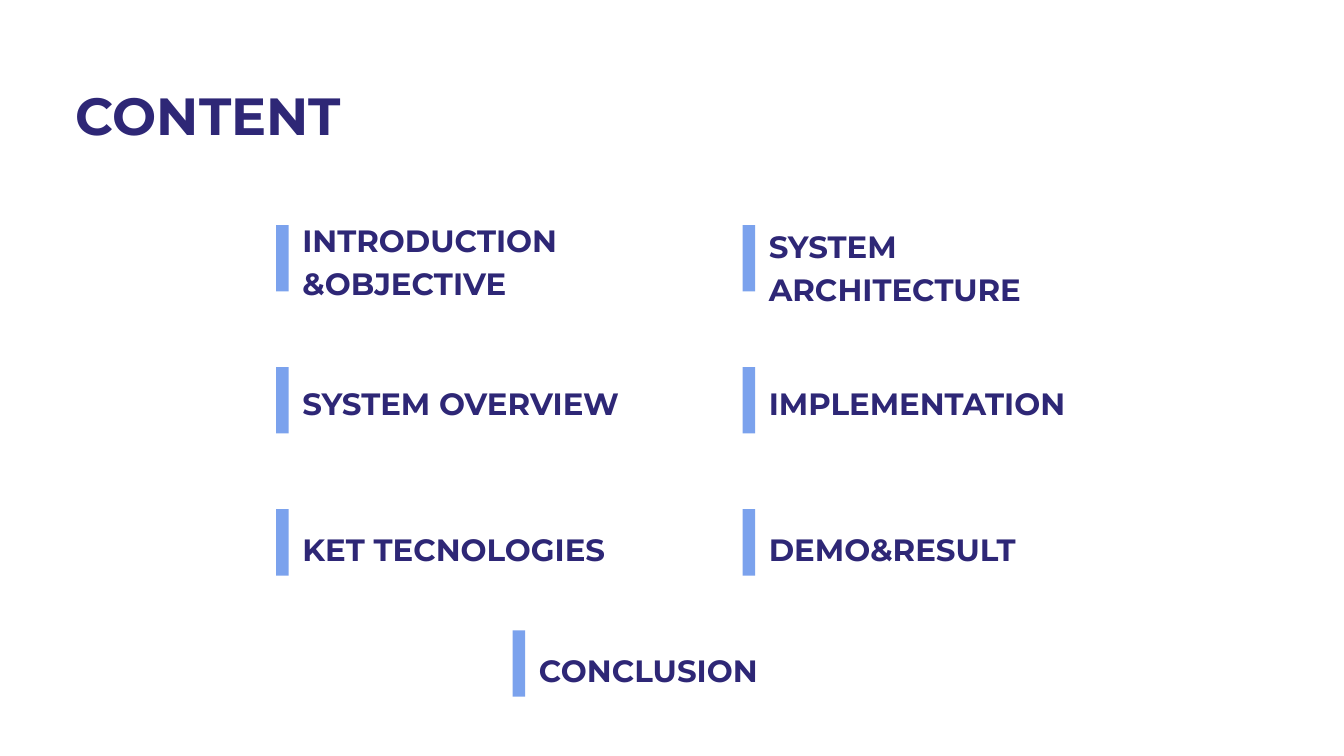
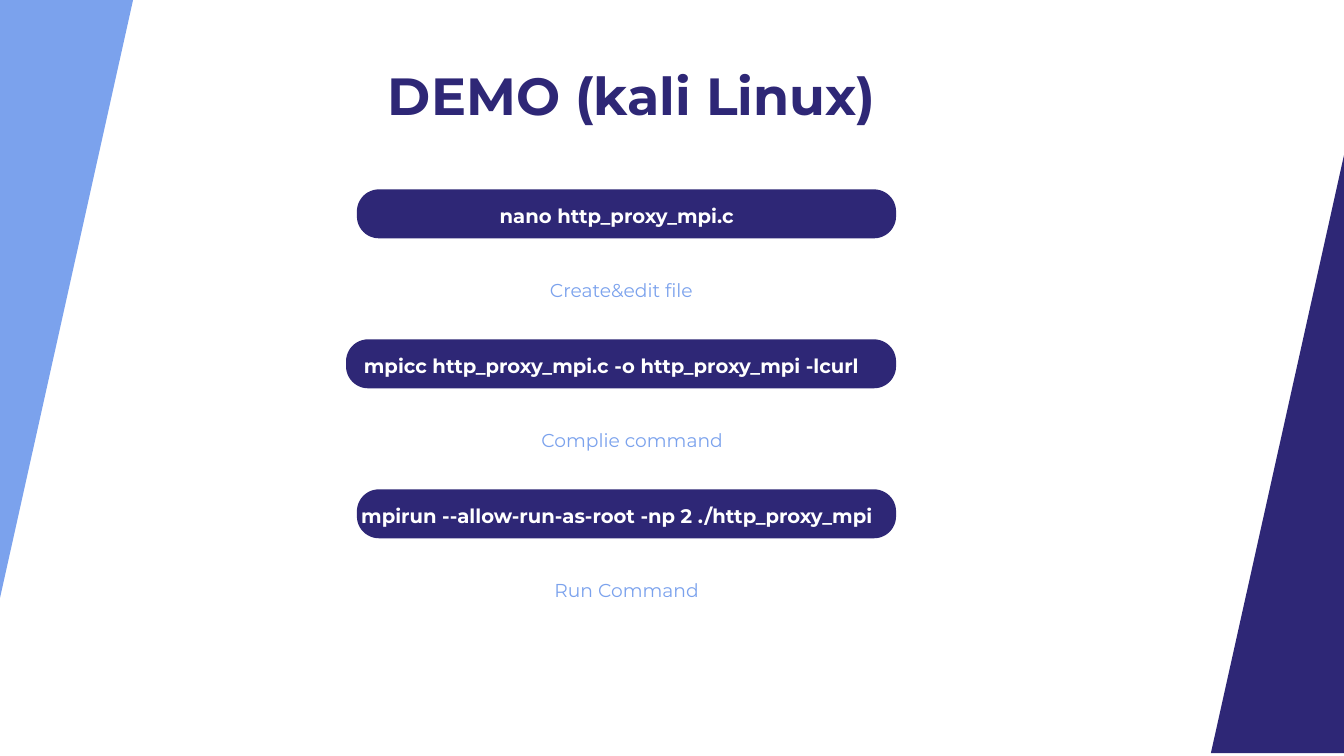
"""Builds a contents slide and a demo slide of shell commands."""
from pptx import Presentation
from pptx import util as u
from pptx.dml.color import RGBColor
from pptx.enum import shapes, text

NAVY, SKY, WHITE = "2E2776", "7BA2ED", "FFFFFF"
FONT = "Montserrat"
WIDTH, HEIGHT = 50.8, 28.58

# text lines, column, row, text offset from the marker top, text width
TOPICS = [
    (["SYSTEM OVERVIEW"], 0, 1, 0.43, 12.09),
    (["KET TECNOLOGIES"], 0, 2, 0.58, 12.09),
    (["INTRODUCTION", "&OBJECTIVE"], 0, 0, -0.36, 11.3),
    (["IMPLEMENTATION"], 1, 1, 0.43, 11.3),
    (["DEMO&RESULT"], 1, 2, 0.58, 11.3),
    (["SYSTEM ARCHITECTURE"], 1, 0, -0.13, 11.3),
]
CLOSING = ["CONCLUSION"]

# command, bar left, caption, caption left
COMMANDS = [
    ("nano http_proxy_mpi.c", 13.49, "Create&edit file", 18.34),
    ("mpicc http_proxy_mpi.c -o http_proxy_mpi -lcurl", 13.08, "Complie command", 18.75),
    ("mpirun --allow-run-as-root -np 2 ./http_proxy_mpi", 13.49, "Run Command", 18.54),
]

LEFT_WEDGE = [(0, 0), (5.03, 0), (0, 22.61)]
RIGHT_WEDGE = [(WIDTH, 5.87), (WIDTH, 28.47), (45.77, 28.47)]


def color(hex_code):
    return RGBColor.from_string(hex_code)


def paint(sp, fill):
    sp.shadow.inherit = False
    sp.fill.solid()
    sp.fill.fore_color.rgb = color(fill)
    sp.line.fill.background()


def add_box(s, kind, x, y, w, h, fill):
    sp = s.shapes.add_shape(kind, u.Cm(x), u.Cm(y), u.Cm(w), u.Cm(h))
    paint(sp, fill)
    return sp


def add_wedge(s, points, fill):
    corners = [(u.Cm(x), u.Cm(y)) for x, y in points]
    builder = s.shapes.build_freeform(*corners[0])
    builder.add_line_segments(corners[1:], close=True)
    paint(builder.convert_to_shape(), fill)


def add_text(s, lines, x, y, w, h, size, ink=NAVY, bold=True, centered=False):
    tf = s.shapes.add_textbox(u.Cm(x), u.Cm(y), u.Cm(w), u.Cm(h)).text_frame
    tf.word_wrap = True
    tf.margin_left = tf.margin_top = tf.margin_right = tf.margin_bottom = 0
    tf.text = "\n".join(lines)
    for p in tf.paragraphs:
        p.line_spacing = u.Pt(round(size * 1.4, 1))
        p.alignment = text.PP_ALIGN.CENTER if centered else text.PP_ALIGN.LEFT
        for r in p.runs:
            r.font.name, r.font.size, r.font.bold = FONT, u.Pt(size), bold
            r.font.color.rgb = color(ink)


def add_slide(prs, title, x, y, centered=False):
    s = prs.slides.add_slide(prs.slide_layouts[6])
    s.background.fill.solid()
    s.background.fill.fore_color.rgb = color(WHITE)
    add_text(s, [title], x, y, 25.1, 2.64, 56, centered=centered)
    return s


def add_topic(s, lines, x, y, text_dy, text_width):
    add_box(s, shapes.MSO_SHAPE.RECTANGLE, x, y, 0.47, 2.51, SKY)
    height = 3.1 if text_dy < 0 else 1.5
    add_text(s, lines, x + 0.99, y + text_dy, text_width, height, 33)


def build_content(prs):
    s = add_slide(prs, "CONTENT", 2.84, 2.77)
    for lines, column, row, text_dy, text_width in TOPICS:
        add_topic(s, lines, 10.44 + column * 17.63, 8.51 + row * 5.37, text_dy, text_width)
    add_topic(s, CLOSING, 19.38, 23.83, 0.58, 12.09)


def build_demo(prs):
    s = add_slide(prs, "DEMO (kali Linux)", 11.33, 1.98, centered=True)
    bar_right, text_right = 33.87, 33.13
    for i, (command, left, caption, caption_left) in enumerate(COMMANDS):
        y = 7.16 + i * 5.67
        bar = add_box(s, shapes.MSO_SHAPE.ROUNDED_RECTANGLE, left, y, bar_right - left, 1.85, NAVY)
        bar.adjustments[0] = 0.45
        add_text(s, [command], left, y + 0.41, text_right - left, 0.97, 21, WHITE, centered=True)
        add_text(s, [caption], caption_left, y + 3.25, 10.29, 0.94, 20, SKY, False, True)
    add_wedge(s, LEFT_WEDGE, SKY)
    add_wedge(s, RIGHT_WEDGE, NAVY)


def main():
    prs = Presentation()
    prs.slide_width, prs.slide_height = u.Cm(WIDTH), u.Cm(HEIGHT)
    build_content(prs)
    build_demo(prs)
    prs.save("out.pptx")


if __name__ == "__main__":
    main()
